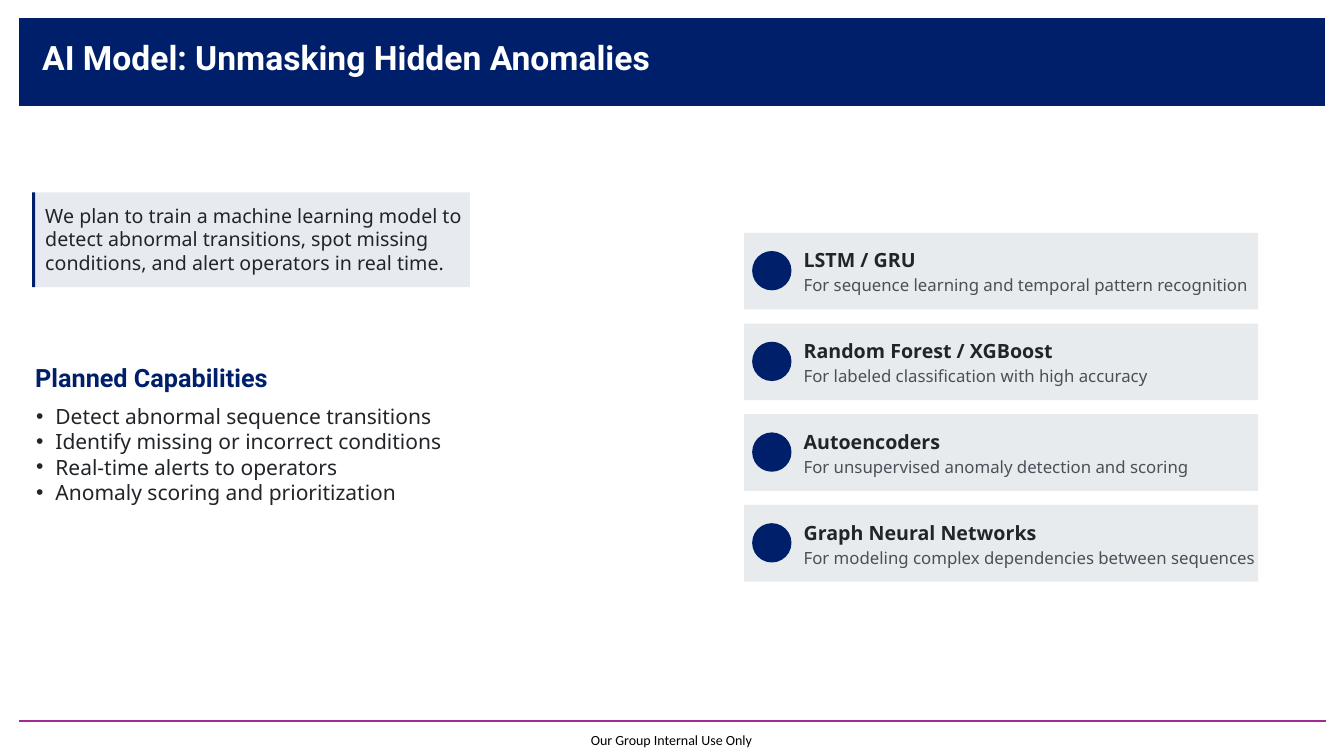
from pptx import Presentation
from pptx.dml.color import RGBColor
from pptx.enum.shapes import MSO_CONNECTOR, MSO_SHAPE
from pptx.enum.text import MSO_ANCHOR
from pptx.oxml.ns import qn
from pptx.util import Pt
from lxml import etree

PX = 9144  # 100 px to the inch

NAVY = RGBColor(0x00, 0x1F, 0x6B)
SLATE = RGBColor(0x1A, 0x36, 0x5D)
PURPLE = RGBColor(0xA0, 0x2B, 0x93)
CARD = RGBColor(0xE8, 0xEB, 0xEE)
INK = RGBColor(0x21, 0x25, 0x29)
GREY = RGBColor(0x49, 0x50, 0x57)
WHITE = RGBColor(0xFF, 0xFF, 0xFF)
BLACK = RGBColor(0x00, 0x00, 0x00)

RECT, OVAL = MSO_SHAPE.RECTANGLE, MSO_SHAPE.OVAL
STRAIGHT = MSO_CONNECTOR.STRAIGHT
TOP, MIDDLE = MSO_ANCHOR.TOP, MSO_ANCHOR.MIDDLE

CAPABILITIES = [
    "Detect abnormal sequence transitions",
    "Identify missing or incorrect conditions",
    "Real-time alerts to operators",
    "Anomaly scoring and prioritization",
]
MODELS = [
    ("LSTM / GRU", "For sequence learning and temporal pattern recognition"),
    ("Random Forest / XGBoost", "For labeled classification with high accuracy"),
    ("Autoencoders", "For unsupervised anomaly detection and scoring"),
    ("Graph Neural Networks", "For modeling complex dependencies between sequences"),
]


def px(*lengths):
    return [n * PX for n in lengths]


def add_block(s, kind, box, color, alpha=None):
    """Add a flat shape; alpha is its opacity in percent."""
    sp = s.shapes.add_shape(kind, *px(*box))
    sp.shadow.inherit = False
    sp.fill.solid()
    sp.fill.fore_color.rgb = color
    sp.line.fill.background()
    if alpha is not None:
        clr = sp.fill._xPr.find(qn("a:solidFill"))[0]
        etree.SubElement(clr, qn("a:alpha")).set("val", str(alpha * 1000))


def add_bullet(p, indent):
    pPr = p._p.get_or_add_pPr()
    pPr.set("marL", str(indent * PX))
    pPr.set("indent", str(-indent * PX))
    etree.SubElement(pPr, qn("a:buFont")).set("typeface", "Arial")
    etree.SubElement(pPr, qn("a:buChar")).set("char", "•")


def add_text(s, box, lines, font, size, color, bold=False, anchor=MIDDLE,
             inset=(0, 0), wrap=False, bullet=0, spacing=None):
    tf = s.shapes.add_textbox(*px(*box)).text_frame
    tf.word_wrap = wrap
    tf.vertical_anchor = anchor
    tf.margin_left = tf.margin_right = inset[0] * PX
    tf.margin_top = tf.margin_bottom = inset[1] * PX
    tf.text = "\n".join(lines)
    for p in tf.paragraphs:
        if spacing:
            p.line_spacing = spacing
        if bullet:
            add_bullet(p, bullet)
        for r in p.runs:
            r.font.name = font
            r.font.size = Pt(size)
            r.font.bold = bold
            r.font.color.rgb = color


def add_banner(s, x, y, w, h, title):
    add_block(s, RECT, (x, y, w, h), NAVY)
    add_text(s, (x + 13, y + 3, 1102, 76), [title], "Roboto", 24, WHITE,
             bold=True, inset=(10, 5), wrap=True, spacing=0.9)


def add_footer(s, x, y, w, note):
    line = s.shapes.add_connector(STRAIGHT, *px(x, y, x + w, y))
    line.line.color.rgb = PURPLE
    line.line.width = Pt(1.5)
    etree.SubElement(line._element.spPr, qn("a:effectLst"))
    add_text(s, (x + 567, y + 11, 170, 17), [note], "Calibri", 10, BLACK,
             anchor=TOP)


def add_callout(s, x, y, w, h, text):
    add_block(s, RECT, (x, y, w, h), SLATE, alpha=10)
    add_block(s, RECT, (x, y, 3, h), NAVY)
    add_text(s, (x + 3, y + 6, w + 8, h - 13), [text], "Noto Sans", 14, INK,
             anchor=TOP, inset=(10, 5), wrap=True)


def add_capabilities(s, x, y, w, heading, items):
    add_text(s, (x, y, w, 30), [heading], "Roboto", 18, NAVY, bold=True)
    add_text(s, (x + 1, y + 41, w, 101), items, "Noto Sans", 15, INK, bullet=19)


def add_model_card(s, x, y, w, h, name, use):
    add_block(s, RECT, (x, y, w, h), CARD)
    add_block(s, OVAL, (x + 8, y + 18, 39, 39), NAVY)
    add_text(s, (x + 59, y + 15, w - 59, 24), [name], "Noto Sans", 14, INK,
             bold=True)
    add_text(s, (x + 59, y + 42, w - 59, 20), [use], "Noto Sans", 12, GREY)


def add_model_list(s, x, y, w, card_h, gap, models):
    for i, (name, use) in enumerate(models):
        add_model_card(s, x, y + i * (card_h + gap), w, card_h, name, use)


def main():
    prs = Presentation()
    prs.slide_width, prs.slide_height = px(1333, 750)
    s = prs.slides.add_slide(prs.slide_layouts[6])
    add_footer(s, 19, 715, 1296, "Our Group Internal Use Only")
    add_banner(s, 19, 18, 1295, 87, "AI Model: Unmasking Hidden Anomalies")
    add_callout(s, 32, 191, 434, 94,
                "We plan to train a machine learning model to detect abnormal "
                "transitions, spot missing conditions, and alert operators in "
                "real time.")
    add_capabilities(s, 35, 359, 406, "Planned Capabilities", CAPABILITIES)
    add_model_list(s, 738, 231, 510, 76, 14, MODELS)
    prs.save("out.pptx")


if __name__ == "__main__":
    main()
